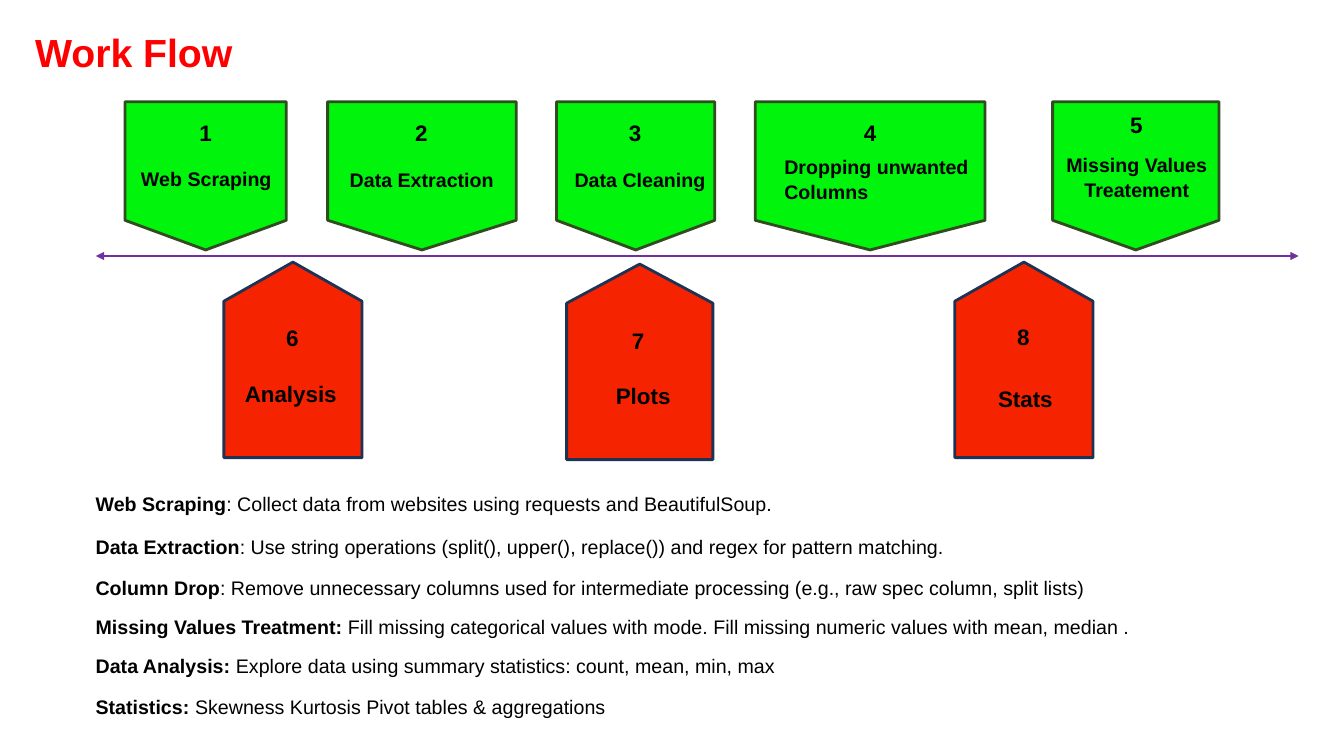
from dataclasses import dataclass

from lxml import etree
from pptx import Presentation
from pptx import util as u
from pptx.dml.color import RGBColor
from pptx.enum import shapes, text
from pptx.oxml.ns import qn


@dataclass(frozen=True)
class Theme:
    font: str = "Arial"
    ink: str = "000000"
    title: str = "FF0000"
    prepare_fill: str = "00F40C"
    prepare_line: str = "314C1F"
    explore_fill: str = "F62300"
    explore_line: str = "1E3256"
    axis: str = "7030A0"
    title_size: int = 28
    heading_size: int = 16
    body_size: int = 14


class WorkflowSlide:
    def __init__(self, slide, theme):
        self.slide = slide
        self.theme = theme

    def pennant(self, left, top, width, height, fill, line, rotation=0):
        pennant = self.slide.shapes.add_shape(
            shapes.MSO_SHAPE.FLOWCHART_OFFPAGE_CONNECTOR,
            u.Inches(left), u.Inches(top), u.Inches(width), u.Inches(height))
        pennant.rotation = rotation
        pennant.shadow.inherit = False
        pennant.fill.solid()
        pennant.fill.fore_color.rgb = RGBColor.from_string(fill)
        pennant.line.color.rgb = RGBColor.from_string(line)
        pennant.line.width = u.Pt(2)

    def label(self, left, top, width, height, lines, size, color=None,
              centred=False, spacing=None, wrap=True):
        """Each line is a bold string, or a (bold term, plain text) pair."""
        box = self.slide.shapes.add_textbox(
            u.Inches(left), u.Inches(top), u.Inches(width), u.Inches(height))
        frame = box.text_frame
        frame.word_wrap = wrap
        for i, line in enumerate(lines):
            paragraph = frame.add_paragraph() if i else frame.paragraphs[0]
            paragraph.font.name = self.theme.font
            paragraph.font.size = u.Pt(size)
            paragraph.font.color.rgb = RGBColor.from_string(color or self.theme.ink)
            if centred:
                paragraph.alignment = text.PP_ALIGN.CENTER
            if spacing:
                paragraph.line_spacing = spacing
            if isinstance(line, str):
                paragraph.font.bold = True
                paragraph.add_run().text = line
            else:
                term, explanation = line
                term_run = paragraph.add_run()
                term_run.text = term
                term_run.font.bold = True
                paragraph.add_run().text = explanation

    def double_arrow(self, left, right, y, color):
        arrow = self.slide.shapes.add_connector(
            shapes.MSO_CONNECTOR.STRAIGHT,
            u.Inches(left), u.Inches(y), u.Inches(right), u.Inches(y))
        arrow.line.color.rgb = RGBColor.from_string(color)
        arrow.line.width = u.Pt(0.75)
        outline = arrow.line._get_or_add_ln()
        for end in ("a:headEnd", "a:tailEnd"):
            etree.SubElement(outline, qn(end), type="triangle")
        etree.SubElement(arrow._element.spPr, qn("a:effectLst"))


# Pennant left and width, label box, label lines, number left and top
PREPARE_STEPS = [
    (1.24, 1.6, (1.3, 1.59, 1.51, 0.57), ["Web Scraping"], 1.88, 1.13),
    (3.25, 1.87, (3.37, 1.6, 1.64, 0.57), ["Data Extraction"], 4.02, 1.13),
    (5.52, 1.57, (5.6, 1.6, 1.51, 0.57), ["Data Cleaning"], 6.14, 1.13),
    (7.49, 2.28, (7.68, 1.47, 2.09, 0.81), ["Dropping unwanted", "Columns"], 8.47, 1.13),
    (10.44, 1.65, (10.47, 1.45, 1.61, 0.81), ["Missing Values", "Treatement"], 11.11, 1.05),
]

# Pennant left, top and width, label box, label, number left and top
EXPLORE_STEPS = [
    (2.22, 2.6, 1.37, (2.33, 3.72, 1.12, 0.37), "Analysis", 2.74, 3.17),
    (5.62, 2.62, 1.45, (6.01, 3.74, 0.75, 0.37), "Plots", 6.17, 3.2),
    (9.47, 2.6, 1.37, (9.8, 3.77, 0.75, 0.37), "Stats", 9.99, 3.16),
]

# Top, width, term, explanation
NOTES = [
    (4.83, 8.62, "Web Scraping",
     ": Collect data from websites using requests and BeautifulSoup."),
    (5.26, 9.49, "Data Extraction",
     ": Use string operations (split(), upper(), replace()) and regex for pattern matching."),
    (5.66, 10.8, "Column Drop",
     ": Remove unnecessary columns used for intermediate processing "
     "(e.g., raw spec column, split lists)"),
    (6.05, 11.26, "Missing Values Treatment: ",
     "Fill missing categorical values with mode. "
     "Fill missing numeric values with mean, median ."),
    (6.44, 8.18, "Data Analysis: ",
     "Explore data using summary statistics: count, mean, min, max"),
    (6.84, 6.66, "Statistics: ", "Skewness Kurtosis Pivot tables & aggregations"),
]


def main():
    deck = Presentation()
    deck.slide_width, deck.slide_height = u.Inches(13.33), u.Inches(7.5)
    theme = Theme()
    workflow = WorkflowSlide(deck.slides.add_slide(deck.slide_layouts[6]), theme)

    # Title
    workflow.label(0.25, 0.2, 2.19, 0.57, ["Work Flow"], theme.title_size,
                   color=theme.title, spacing=1.07, wrap=False)

    # Preparation steps above the axis
    for number, (left, width, label_box, lines, number_left, number_top) in enumerate(
            PREPARE_STEPS, start=1):
        workflow.pennant(left, 1.01, width, 1.47, theme.prepare_fill, theme.prepare_line)
        workflow.label(*label_box, lines, theme.body_size,
                       centred=lines[0] == "Missing Values", spacing=1.07)
        workflow.label(number_left, number_top, 0.33, 0.37, [str(number)],
                       theme.heading_size)

    # Exploration steps below the axis
    for number, (left, top, width, label_box, name, number_left, number_top) in enumerate(
            EXPLORE_STEPS, start=len(PREPARE_STEPS) + 1):
        workflow.pennant(left, top, width, 1.94, theme.explore_fill,
                         theme.explore_line, rotation=180)
        workflow.label(*label_box, [name], theme.heading_size)
        workflow.label(number_left, number_top, 0.33, 0.37, [str(number)],
                       theme.heading_size)

    # Axis between the two rows
    workflow.double_arrow(0.95, 12.88, 2.54, theme.axis)

    # Explanations
    for top, width, term, explanation in NOTES:
        workflow.label(0.85, top, width, 0.34, [(term, explanation)], theme.body_size)

    deck.save("out.pptx")


if __name__ == "__main__":
    main()
